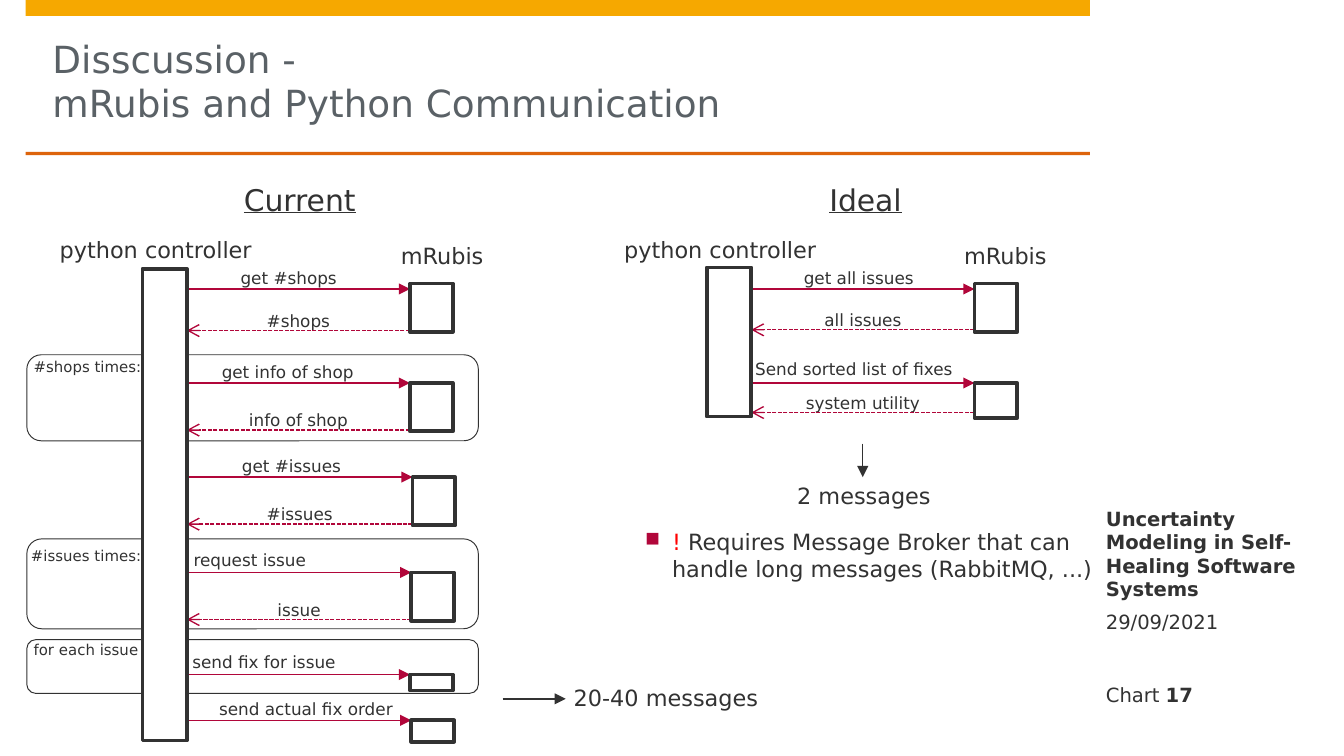
"""Build the slide comparing current and ideal mRubis communication."""
from lxml.etree import SubElement
from pptx import Presentation
from pptx.dml.color import RGBColor
from pptx.enum.dml import MSO_LINE
from pptx.enum.shapes import MSO_CONNECTOR, MSO_SHAPE
from pptx.enum.text import MSO_ANCHOR, PP_ALIGN
from pptx.oxml.ns import qn
from pptx.util import Pt

FONT = "DejaVu Sans"
COLORS = {
    "dark": "323232", "title": "5A6166", "white": "FFFFFF", "amber": "F6A800",
    "orange": "DD640C", "crimson": "B1063A", "red": "FF0000",
}
RGB = {name: RGBColor.from_string(value) for name, value in COLORS.items()}
LEFT, CENTER = PP_ALIGN.LEFT, PP_ALIGN.CENTER
TOP, BOTTOM = MSO_ANCHOR.TOP, MSO_ANCHOR.BOTTOM

deck = Presentation()
deck.slide_width, deck.slide_height = Pt(720), Pt(405)
page = deck.slides.add_slide(deck.slide_layouts[6])


def add_text(bounds, runs, size, align=LEFT, anchor=TOP, wrap=False, underline=False):
    box = page.shapes.add_textbox(*map(Pt, bounds))
    frame = box.text_frame
    frame.word_wrap = wrap
    frame.vertical_anchor = anchor
    frame.margin_left = frame.margin_top = frame.margin_right = frame.margin_bottom = 0
    para = frame.paragraphs[0]
    para.alignment = align
    for words, color, bold in runs:
        if para.runs and words.startswith("mRubis"):
            para.add_line_break()
        span = para.add_run()
        span.text = words
        span.font.name, span.font.size, span.font.bold = FONT, Pt(size), bold
        span.font.underline = underline
        span.font.color.rgb = RGB[color]
    return box


def add_block(bounds, fill, line_width=0, kind=MSO_SHAPE.RECTANGLE):
    block = page.shapes.add_shape(kind, *map(Pt, bounds))
    block.shadow.inherit = False
    block.fill.solid()
    block.fill.fore_color.rgb = RGB[fill]
    if line_width:
        block.line.color.rgb = RGB["dark"]
        block.line.width = Pt(line_width)
    else:
        block.line.fill.background()


add_block((13.7, 0, 570.2, 8.6), "amber")
add_block((13.7, 81.4, 570.2, 1.8), "orange")

title = add_text((28.1, 8.9, 541.4, 72.7), [
    ("Disscussion -", "title", False),
    ("mRubis and Python Communication", "title", False),
], 20, anchor=BOTTOM, wrap=True)
title.text_frame.margin_bottom = Pt(14.4)

sidebar = [
    ((583.9, 280.8, 121.7, 41), [
        ("Uncertainty Modeling in Self-Healing Software Systems", "dark", True)], BOTTOM),
    ((583.9, 326.9, 121.7, 36.7), [("29/09/2021", "dark", False)], TOP),
    ((583.9, 364.3, 121.7, 14.4), [("Chart ", "dark", False), ("17", "dark", True)], BOTTOM),
]
for bounds, runs, anchor in sidebar:
    note = add_text(bounds, runs, 10.5, anchor=anchor, wrap=True)
    note.text_frame.margin_left = Pt(8.6)

loop_frames = [
    (342.7, 28.8, "for each issue", 18, 343.4),
    (288.7, 48.2, "#issues times:", 16.6, 293),
    (190.1, 46.1, "#shops times:", 18, 191.5),
]
for top, height, words, label_left, label_top in loop_frames:
    add_block((14.4, top, 241.9, height), "white", 0.5, MSO_SHAPE.ROUNDED_RECTANGLE)
    add_text((label_left, label_top, 72, 12.2), [(words, "dark", False)], 8)

diagrams = [
    ("Current", 124.6, (76.3, 144, 23.8, 252.7), 29.5, 182.9, [
        (219.6, 151.9, 25.9, "get #shops", 154.8, 128.9, 143.3, "#shops", 177.1),
        (219.6, 205.2, 25.9, "get info of shop", 205.2, 118.8, 193.7, "info of shop", 230.4),
        (221, 255.6, 25.9, "get #issues", 255.6, 129.6, 244.1, "#issues", 280.8),
        (220.3, 306.7, 25.9, "request issue", 306.7, 103.7, 294.5, "issue", 331.9),
        (219.6, 361.4, 8.6, "send fix for issue", 361.4, 103, 349.2, None, None),
        (220.3, 385.9, 11.5, "send actual fix order", 385.9, 117.4, 374.4, None, None),
    ]),
    ("Ideal", 427.7, (378.7, 143.3, 23.8, 79.9), 331.9, 484.6, [
        (522, 151.9, 25.9, "get all issues", 154.8, 430.6, 143.3, "all issues", 176.7),
        (522, 205.2, 18.7, "Send sorted list of fixes", 205.2, 404.6, 192.2,
         "system utility", 221),
    ]),
]
arrows = [
    (269.3, 374.4, 303.1, 374.4, "dark", False),
    (462.2, 237.6, 462.2, 255.6, "dark", False),
]
blocks = []
for heading, heading_left, lifeline, controller_left, rubis_left, calls in diagrams:
    add_text((heading_left, 97.2, 72, 72), [(heading, "dark", False)], 16, CENTER,
             underline=True)
    add_text((controller_left, 126.7, 108, 16.6), [("python controller", "dark", False)],
             12, CENTER)
    add_text((rubis_left, 129.6, 108, 16.6), [("mRubis", "dark", False)], 12, CENTER)
    start = lifeline[0] + lifeline[2]
    blocks.append(lifeline)
    for left, top, height, request, request_y, label_left, label_top, reply, reply_y in calls:
        blocks.append((left, top, 23, height))
        arrows.append((start, request_y, left, request_y, "crimson", False))
        add_text((label_left, label_top, 115, 11.5), [(request, "dark", False)], 9)
        if reply:
            arrows.append((left, reply_y, start, reply_y, "crimson", True))
            add_text(((start + left) / 2 - 50, reply_y - 10.8, 100, 11.5),
                     [(reply, "dark", False)], 9, CENTER)

for start_x, start_y, end_x, end_y, color, dashed in arrows:
    arrow = page.shapes.add_connector(
        MSO_CONNECTOR.STRAIGHT, Pt(start_x), Pt(start_y), Pt(end_x), Pt(end_y))
    arrow.line.color.rgb = RGB[color]
    arrow.line.width = Pt(0.75)
    if dashed:
        arrow.line.dash_style = MSO_LINE.SQUARE_DOT
    properties = arrow._element.spPr
    SubElement(properties.find(qn("a:ln")), qn("a:tailEnd"),
               type="arrow" if dashed else "triangle")
    SubElement(properties, qn("a:effectLst"))

for bounds in blocks:
    add_block(bounds, "white", 2)

add_text((307.4, 366.5, 108, 16.6), [("20-40 messages", "dark", False)], 12)
add_text((416.4, 258.5, 92.9, 16.6), [("2 messages", "dark", False)], 12, CENTER)

remark = add_text((345.6, 283, 253.4, 36), [
    ("! ", "red", False),
    ("Requires Message Broker that can handle long messages (RabbitMQ, ...)", "dark", False),
], 12, wrap=True)
bullet = remark.text_frame.paragraphs[0]._p.get_or_add_pPr()
bullet.set("marL", str(Pt(14.4)))
bullet.set("indent", str(-Pt(14.4)))
bullet_color = SubElement(bullet, qn("a:buClr"))
SubElement(bullet_color, qn("a:srgbClr"), val=COLORS["crimson"])
SubElement(bullet, qn("a:buSzPct"), val="90000")
SubElement(bullet, qn("a:buChar"), char="■")

deck.save("out.pptx")
